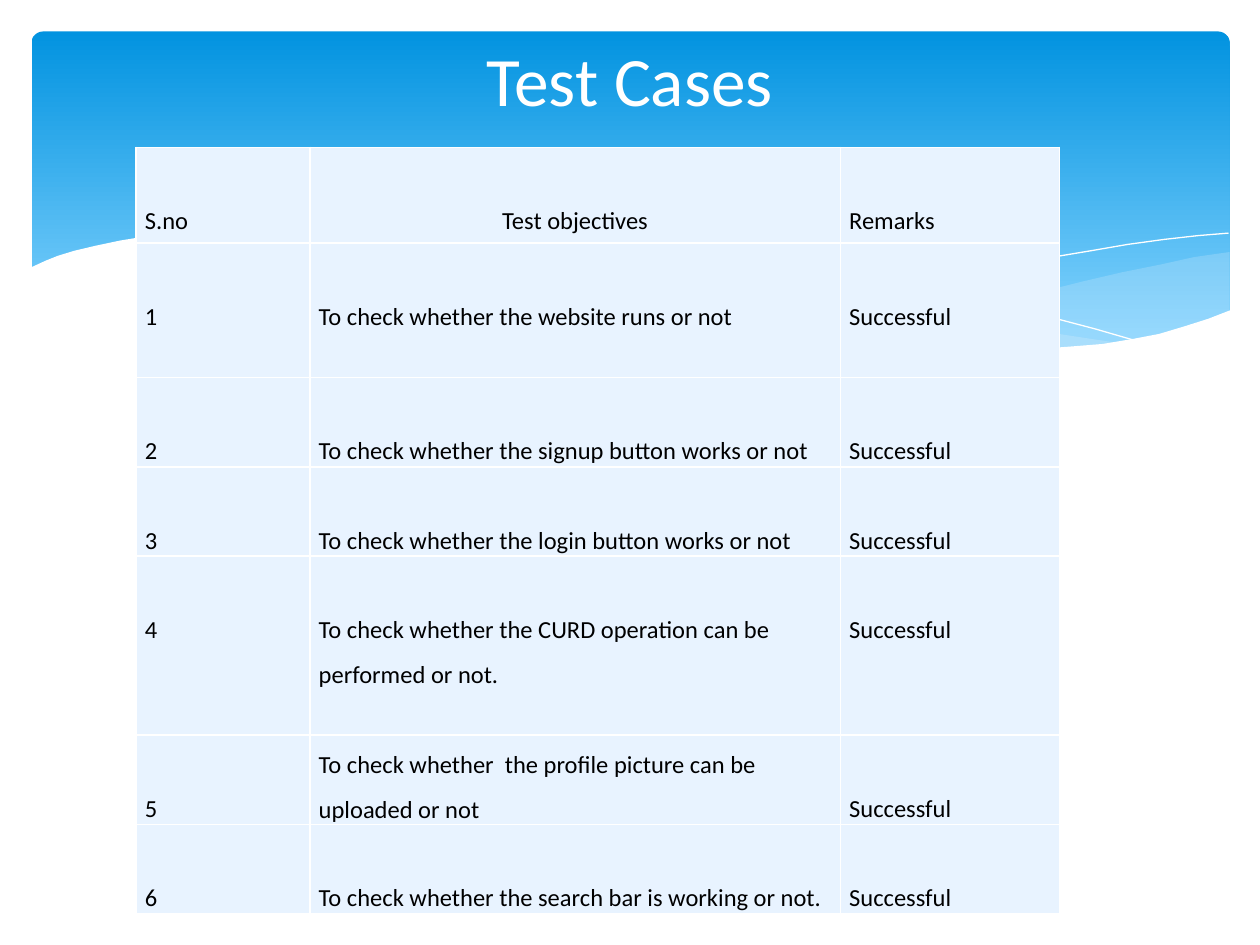
from dataclasses import dataclass

from lxml.etree import SubElement
from pptx import Presentation
from pptx.dml.color import RGBColor
from pptx.enum.shapes import MSO_SHAPE
from pptx.enum.text import MSO_ANCHOR, PP_ALIGN
from pptx.oxml import parse_xml
from pptx.oxml.ns import nsdecls, qn
from pptx.util import Inches, Pt


@dataclass(frozen=True)
class Theme:
    font: str = "Calibri"
    title_size: float = 39.6
    body_size: float = 14
    white: str = "FFFFFF"
    ink: str = "000000"
    banner_top: str = "0293E0"
    banner_bottom: str = "83D3FE"
    wave: str = "C6E7FC"
    cell: str = "E8F3FF"


def write_text(frame, text, *, size, color, font, align=PP_ALIGN.LEFT, spacing=1.0):
    para = frame.paragraphs[0]
    para.alignment = align
    para.line_spacing = spacing
    span = para.add_run()
    span.text = text
    span.font.size = Pt(size)
    span.font.name = font
    span.font.color.rgb = RGBColor.from_string(color)


def border_cell(cell, color):
    properties = cell._tc.get_or_add_tcPr()
    for index, side in enumerate(("lnL", "lnR", "lnT", "lnB")):
        properties.insert(index, parse_xml(
            f'<a:{side} {nsdecls("a")} w="{Pt(1)}"><a:solidFill>'
            f'<a:srgbClr val="{color}"/></a:solidFill></a:{side}>'))


class SlideBuilder:
    def __init__(self, page, theme):
        self.page = page
        self.theme = theme

    def banner(self, left, top, width, height):
        shape = self.page.shapes.add_shape(
            MSO_SHAPE.ROUNDED_RECTANGLE,
            Inches(left), Inches(top), Inches(width), Inches(height))
        shape.adjustments[0] = 0.034
        shape.shadow.inherit = False
        shape.line.fill.background()
        shape.fill.gradient()
        shape.fill.gradient_angle = 270
        colors = (self.theme.banner_top, self.theme.banner_bottom)
        for stop, position, color in zip(shape.fill.gradient_stops, (0, 0.9), colors):
            stop.position = position
            stop.color.rgb = RGBColor.from_string(color)

    def outline(self, points, close):
        corners = [(Inches(x), Inches(y)) for x, y in points]
        builder = self.page.shapes.build_freeform(*corners[0])
        builder.add_line_segments(corners[1:], close=close)
        shape = builder.convert_to_shape()
        shape.shadow.inherit = False
        return shape

    def wave(self, points, color, opacity=100):
        shape = self.outline(points, close=True)
        shape.line.fill.background()
        shape.fill.solid()
        shape.fill.fore_color.rgb = RGBColor.from_string(color)
        if opacity < 100:
            tint = shape.fill._xPr.find(".//" + qn("a:srgbClr"))
            SubElement(tint, qn("a:alpha"), val=str(opacity * 1000))

    def hairline(self, points):
        shape = self.outline(points, close=False)
        shape.fill.background()
        shape.line.color.rgb = RGBColor.from_string(self.theme.white)
        shape.line.width = Pt(0)

    def title(self, text, left, top, width, height):
        box = self.page.shapes.add_textbox(
            Inches(left), Inches(top), Inches(width), Inches(height))
        box.text_frame.word_wrap = True
        box.text_frame.vertical_anchor = MSO_ANCHOR.MIDDLE
        write_text(box.text_frame, text, size=self.theme.title_size,
                   color=self.theme.white, font=self.theme.font, align=PP_ALIGN.CENTER)

    def table(self, rows, left, top, widths, heights):
        table = self.page.shapes.add_table(
            len(rows), len(widths), Inches(left), Inches(top),
            Inches(sum(widths)), Inches(sum(heights))).table
        table.first_row = table.horz_banding = False
        for column, width in zip(table.columns, widths):
            column.width = Inches(width)
        for row, height, values in zip(table.rows, heights, rows):
            row.height = Inches(height)
            for cell, value in zip(row.cells, values):
                self.fill_cell(cell, value)

    def fill_cell(self, cell, value):
        """Text starts one line down, unless it is the long upload objective."""
        cell.margin_left = cell.margin_right = Inches(0.07)
        cell.margin_top = Inches(0 if value == UPLOAD_CHECK else 0.35)
        cell.margin_bottom = 0
        cell.fill.solid()
        cell.fill.fore_color.rgb = RGBColor.from_string(self.theme.cell)
        border_cell(cell, self.theme.white)
        write_text(cell.text_frame, value, size=self.theme.body_size,
                   color=self.theme.ink, font=self.theme.font, spacing=1.5,
                   align=PP_ALIGN.CENTER if value == HEADER[1] else PP_ALIGN.LEFT)


HEADER = ("S.no", "Test objectives", "Remarks")
UPLOAD_CHECK = "To check whether  the profile picture can be uploaded or not"
OBJECTIVES = (
    "To check whether the website runs or not",
    "To check whether the signup button works or not",
    "To check whether the login button works or not",
    "To check whether the CURD operation can be performed or not.",
    UPLOAD_CHECK,
    "To check whether the search bar is working or not.",
)
LINE = 0.71
ROW_HEIGHTS = (0.76, 1.5 * LINE, LINE, LINE, 2 * LINE, LINE, LINE)

RIGHT_WAVE = (
    (9.76, 2), (9.48, 2.04), (9.21, 2.1), (8.91, 2.16), (8.61, 2.23), (8.05, 2.37),
    (7.53, 2.48), (7.06, 2.57), (6.61, 2.65), (6.91, 2.69), (7.32, 2.74), (7.69, 2.77),
    (8.03, 2.78), (8.35, 2.77), (8.63, 2.75), (8.89, 2.72), (9.13, 2.67), (9.35, 2.62),
    (9.63, 2.52), (9.76, 2.47))
LONG_WAVE = (
    (8.93, 2.73), (8.66, 2.69), (8.07, 2.6), (7.41, 2.47), (6.68, 2.31), (6.29, 2.22),
    (5.84, 2.11), (5.41, 2.03), (5.02, 1.96), (4.65, 1.91), (4.2, 1.87), (3.8, 1.85),
    (3.44, 1.86), (3.13, 1.88), (2.86, 1.91), (3.23, 1.96), (3.62, 2.03), (4.04, 2.11),
    (4.49, 2.22), (4.91, 2.32), (5.3, 2.4), (5.84, 2.52), (6.34, 2.61), (6.8, 2.68),
    (7.22, 2.74), (7.61, 2.77), (7.96, 2.78), (8.28, 2.78), (8.57, 2.77), (8.76, 2.75))
FALLING_LINE = (
    (3.09, 1.95), (3.28, 1.92), (3.53, 1.89), (3.87, 1.87), (4.16, 1.87), (4.5, 1.88),
    (4.89, 1.9), (5.33, 1.94), (5.82, 2), (6.36, 2.08), (6.95, 2.19), (7.6, 2.33),
    (7.95, 2.41), (8.31, 2.51), (8.69, 2.61), (9.07, 2.72))
RISING_LINE = (
    (6.13, 2.57), (6.53, 2.46), (6.95, 2.35), (7.48, 2.23), (8.06, 2.1), (8.36, 2.04),
    (8.66, 1.99), (8.95, 1.94), (9.24, 1.9), (9.51, 1.87), (9.75, 1.85))
LOWER_EDGE = (
    (9.77, 2.46), (9.59, 2.53), (9.4, 2.59), (9.2, 2.65), (8.99, 2.69), (8.75, 2.73),
    (8.5, 2.75), (8.23, 2.77), (7.93, 2.76), (7.61, 2.75), (7.26, 2.72), (6.88, 2.68),
    (6.48, 2.62), (6.03, 2.54), (5.55, 2.45), (5.03, 2.33), (4.47, 2.2), (3.91, 2.07),
    (3.4, 1.97), (2.92, 1.9), (2.5, 1.86), (2.11, 1.84), (1.77, 1.84), (1.46, 1.85),
    (1.19, 1.87), (0.95, 1.91), (0.76, 1.95), (0.59, 1.99), (0.46, 2.03), (0.36, 2.07),
    (0.23, 2.13), (0.23, 3.29), (9.77, 3.29))


def main():
    deck = Presentation()
    deck.slide_width, deck.slide_height = Inches(10), Inches(7.5)
    theme = Theme()
    builder = SlideBuilder(deck.slides.add_slide(deck.slide_layouts[6]), theme)

    builder.banner(0.25, 0.25, 9.51, 2.7)
    builder.wave(RIGHT_WAVE, theme.wave, opacity=29)
    builder.wave(LONG_WAVE, theme.wave, opacity=40)
    builder.hairline(FALLING_LINE)
    builder.hairline(RISING_LINE)
    builder.wave(LOWER_EDGE, theme.white)

    checks = [(str(number), objective, "Successful")
              for number, objective in enumerate(OBJECTIVES, start=1)]
    builder.table([HEADER, *checks], 1.08, 1.17, (1.38, 4.21, 1.74), ROW_HEIGHTS)
    builder.title("Test Cases", 0.5, 0.25, 9, 0.75)
    deck.save("out.pptx")


if __name__ == "__main__":
    main()
